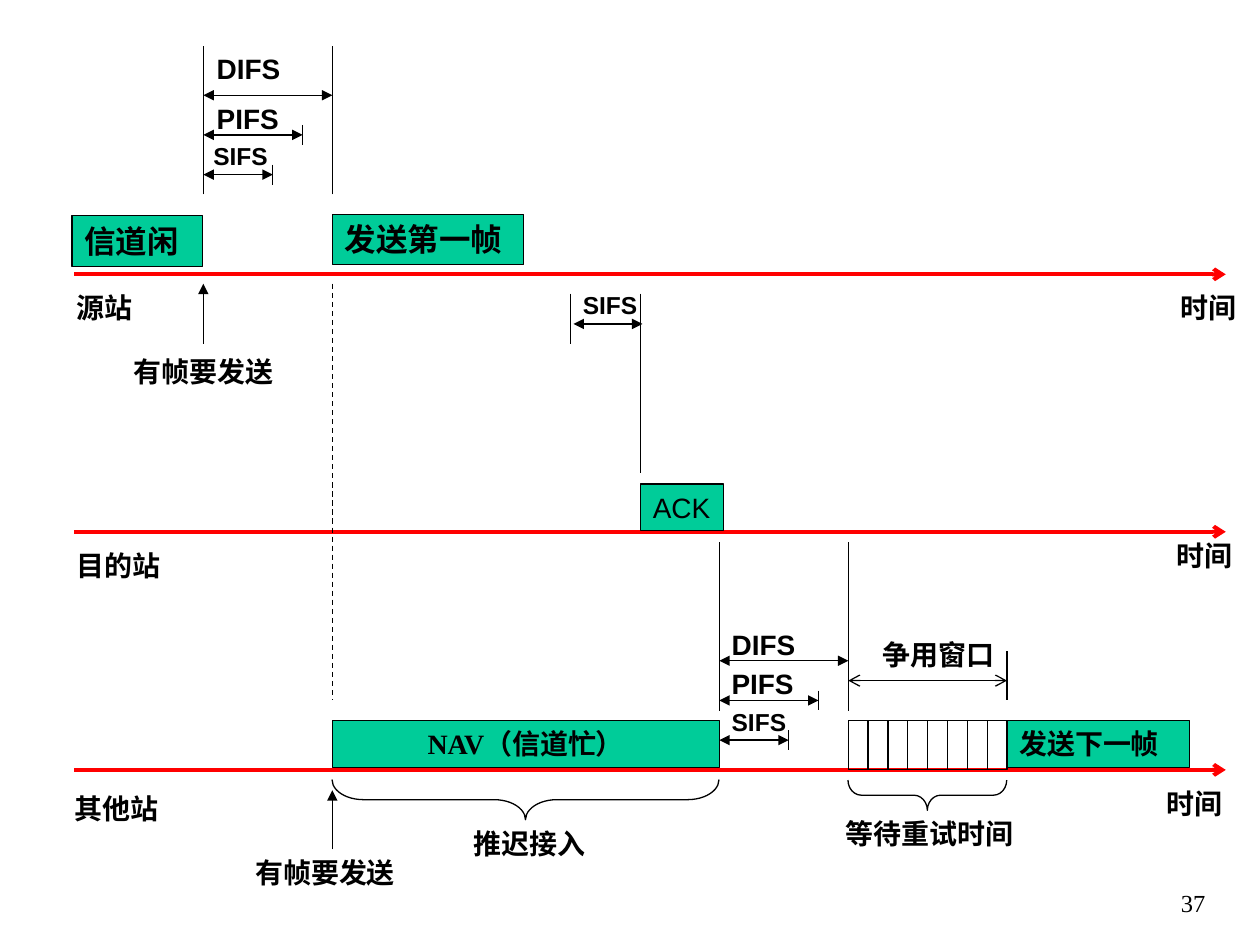
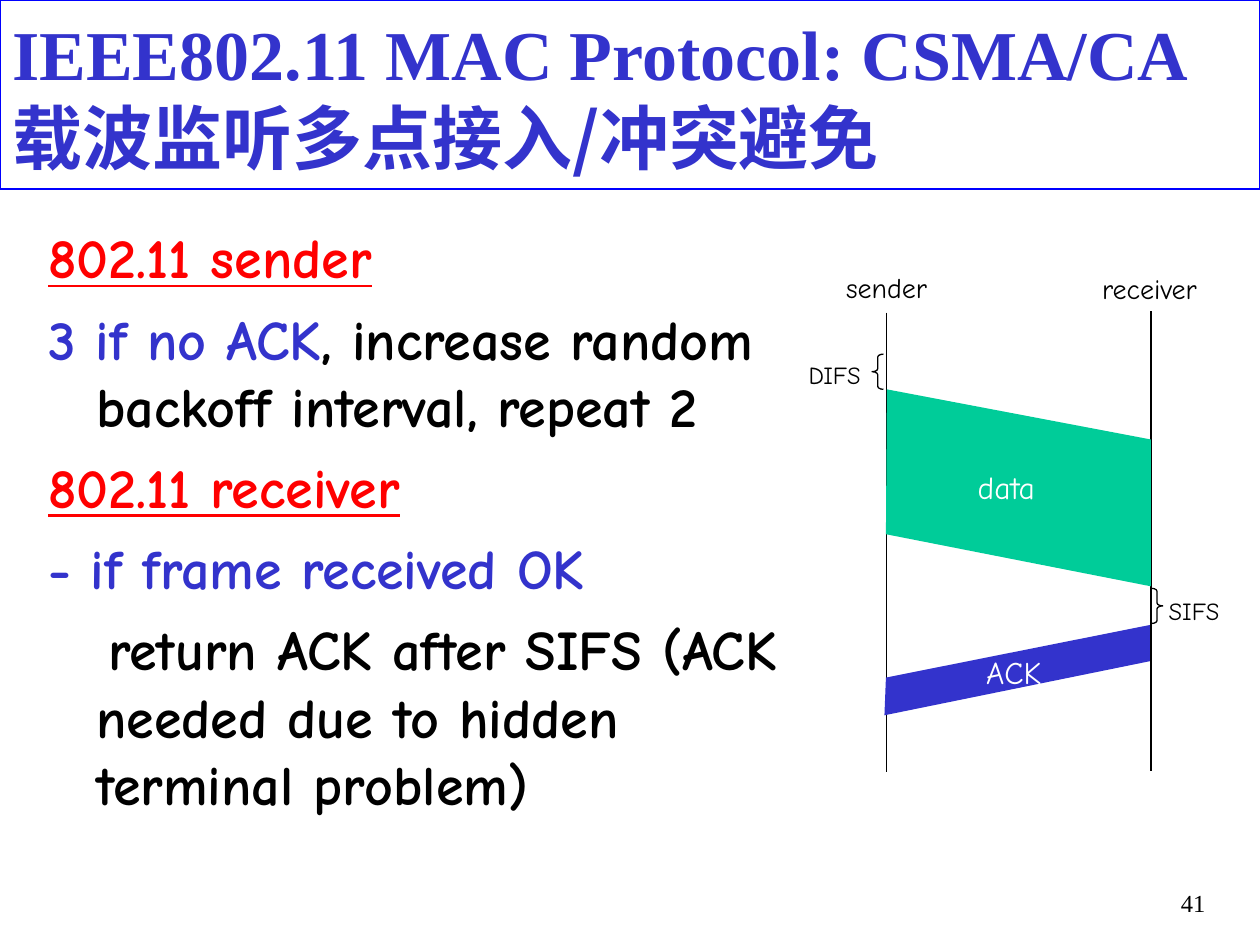
from pptx import Presentation
from pptx.dml.color import RGBColor
from pptx.enum.dml import MSO_LINE
from pptx.enum.shapes import MSO_CONNECTOR, MSO_SHAPE
from pptx.enum.text import MSO_ANCHOR, MSO_AUTO_SIZE, PP_ALIGN
from pptx.oxml.ns import qn
from pptx.util import Cm, Pt
from lxml.etree import SubElement

# Shared look
BLACK, WHITE, RED = "000000", "FFFFFF", "FF0000"
GREEN, BLUE, EDGE = "00CC99", "3333CC", "0000FF"
CJK, SANS, SERIF, HAND = "Noto Sans CJK SC", "Arial", "Times New Roman", "Comic Neue"
THIN = 0.75

# Timing slide: lengths in cm
AXES = [5.53, 10.72, 15.52]
AXIS = (1.5, 24.71)
IDLE, FIRST, REPLY, FREE, OPEN, NEXT = 4.1, 6.7, 12.91, 14.5, 17.1, 20.3
SLOTS = 8
SPANS = [("DIFS", 16, 2.6), ("PIFS", 16, 2.0), ("SIFS", 14, 1.4)]
GROUPS = [  # left, first arrow, guide top and bottom, label shifts
    (IDLE, 1.92, 0.92, 3.92, [(0.02, 1.0), (0.02, 0.8), (-0.05, 0.8)]),
    (FREE, 13.32, 10.92, 14.33, [(0, 0.8), (0, 0.8), (0, 0.8)]),
]
FRAMES = [  # text, left, top, width, height, size, font, bold, align
    ("信道闲", 1.45, 4.35, 2.64, 1.02, 18, CJK, True, PP_ALIGN.LEFT),
    ("发送第一帧", FIRST, 4.32, 3.86, 1.02, 18, CJK, True, PP_ALIGN.LEFT),
    ("ACK", REPLY, 9.76, 1.67, 0.94, 16, SANS, False, PP_ALIGN.LEFT),
    ("NAV（信道忙）", FIRST, 14.53, 7.8, 0.94, 16, SERIF, True, PP_ALIGN.CENTER),
    ("发送下一帧", NEXT, 14.53, 3.68, 0.94, 16, CJK, True, PP_ALIGN.LEFT),
]
NOTES = [  # text, left, top, width
    ("源站", 1.3, 5.73, 2.1), ("目的站", 1.3, 10.93, 2.5), ("其他站", 1.25, 15.83, 2.7),
    ("时间", 23.55, 5.73, 1.85), ("时间", 23.47, 10.73, 1.93), ("时间", 23.27, 15.73, 2.13),
    ("有帧要发送", 2.45, 7.02, 3.7), ("有帧要发送", 4.9, 17.13, 3.7),
    ("推迟接入", 9.3, 16.54, 3.25), ("等待重试时间", 16.8, 16.34, 4.22),
    ("争用窗口", 17.55, 12.73, 2.9),
]
RULES = [  # x1, y1, x2, y2, arrowhead at start, arrowhead at end
    (11.5, 5.92, 11.5, 6.93, None, None),
    (REPLY, 5.92, REPLY, 9.53, None, None),
    (11.56, 6.53, 12.95, 6.53, "triangle", "triangle"),
    (NEXT, 13.13, NEXT, 14.12, None, None),
    (OPEN, 13.72, NEXT, 13.72, "arrow", "arrow"),
    (IDLE, 6.93, IDLE, 5.72, None, "triangle"),
    (FIRST, 17.12, FIRST, 15.93, None, "triangle"),
]
HOOKS = [(10.19, 12.22, 0.81, 7.8, 0.78), (18.39, 14.43, 0.61, 3.2, 0.44)]

# Protocol slide
TITLE = [("IEEE802.11 MAC Protocol: CSMA/CA ", SERIF), ("载波监听多点接入/冲突避免", CJK)]
BODY = [  # first-line indent, then runs of text, colour, underline
    (-0.97, [("802.11 sender", RED, True)]),
    (-0.97, [("3 if no ACK", BLUE, False),
             (", increase random backoff interval, repeat 2", BLACK, False)]),
    (-0.97, [("802.11 receiver", RED, True)]),
    (-0.97, [("- if frame received OK", BLUE, False)]),
    (0.25, [("return ACK after SIFS (ACK needed due to hidden terminal problem)", BLACK, False)]),
]
POSTS = [(17.87, 6.3, 15.57), (23.2, 6.27, 15.54)]
BANDS = [
    (GREEN, [(17.88, 7.85), (23.2, 8.86), (23.2, 11.82), (17.86, 10.77)]),
    (BLUE, [(17.83, 14.42), (23.18, 13.33), (23.18, 12.6), (17.86, 13.66)]),
]
CURLS = [(MSO_SHAPE.LEFT_BRACE, 17.58, 7.14), (MSO_SHAPE.RIGHT_BRACE, 23.21, 11.86)]
TAGS = [  # text, left, top, width, height, size, colour
    ("sender", 16.81, 5.32, 2.4, 0.94, 16, BLACK),
    ("receiver", 21.97, 5.34, 2.7, 0.94, 16, BLACK),
    ("DIFS", 16.05, 7.14, 1.8, 0.86, 14, BLACK),
    ("data", 19.46, 9.31, 1.9, 1.02, 18, WHITE),
    ("SIFS", 23.31, 11.89, 1.8, 0.86, 14, BLACK),
    ("ACK", 19.63, 13.03, 1.9, 1.02, 18, WHITE),
]


def tint(code):
    return RGBColor.from_string(code)


def apply(item, form):
    for key, value in form.items():
        setattr(item, key, value)


def write(par, text, size, face, color=BLACK, bold=False, under=False):
    run = par.add_run()
    run.text = text
    apply(run.font, {"size": Pt(size), "name": face, "bold": bold, "underline": under})
    run.font.color.rgb = tint(color)
    SubElement(run.font._element, qn("a:ea")).set("typeface", CJK if face != HAND else HAND)


def outline(shape, color=BLACK, width=THIN):
    shape.line.color.rgb = tint(color)
    shape.line.width = Pt(width)


def label(slide, text, x, y, w, h, size, face, color=BLACK, bold=False,
          align=PP_ALIGN.LEFT, fill=None):
    box = tuple(map(Cm, (x, y, w, h)))
    if fill:
        shape = slide.shapes.add_shape(MSO_SHAPE.RECTANGLE, *box)
        shape.shadow.inherit = False
        shape.fill.solid()
        shape.fill.fore_color.rgb = tint(fill)
        outline(shape)
    else:
        shape = slide.shapes.add_textbox(*box)
    frame = shape.text_frame
    apply(frame, {"word_wrap": True, "auto_size": MSO_AUTO_SIZE.SHAPE_TO_FIT_TEXT,
                  "vertical_anchor": MSO_ANCHOR.TOP})
    if fill:
        frame.margin_right = Cm(0.1) if align == PP_ALIGN.LEFT else Cm(0.25)
    par = frame.paragraphs[0]
    par.alignment = align
    write(par, text, size, face, color, bold)


def rule(slide, x1, y1, x2, y2, head=None, tail=None, color=BLACK, width=THIN, dash=None):
    line = slide.shapes.add_connector(MSO_CONNECTOR.STRAIGHT, *map(Cm, (x1, y1, x2, y2)))
    outline(line, color, width)
    if dash:
        line.line.dash_style = dash
    props = line.element.spPr
    for tag, kind in (("a:headEnd", head), ("a:tailEnd", tail)):
        if kind:
            SubElement(props.find(qn("a:ln")), qn(tag)).set("type", kind)
    SubElement(props, qn("a:effectLst"))


def hollow(slide, kind, x, y, w, h, curl=None, turn=0):
    shape = slide.shapes.add_shape(kind, *map(Cm, (x, y, w, h)))
    shape.shadow.inherit = False
    shape.fill.background()
    outline(shape)
    shape.rotation = turn
    if curl:
        shape.adjustments[0] = curl


def start(deck, layout, number):
    slide = deck.slides.add_slide(deck.slide_layouts[layout])
    label(slide, number, 22.67, 17.78, 1.88, 1.27, 14, SERIF, align=PP_ALIGN.RIGHT)
    return slide


def timing(deck):
    slide = start(deck, 6, "37")
    for y in AXES:
        rule(slide, AXIS[0], y, AXIS[1], y, tail="arrow", color=RED, width=2.25)
    for text, x, y, w, h, size, face, bold, align in FRAMES:
        label(slide, text, x, y, w, h, size, face, BLACK, bold, align, GREEN)

    # Interframe spaces
    for x, y, top, low, shifts in GROUPS:
        for at in (x, x + SPANS[0][2]):
            rule(slide, at, low, at, top)
        for i, ((text, size, span), (dx, lift)) in enumerate(zip(SPANS, shifts)):
            level, end = y + 0.8 * i, x + span
            rule(slide, x, level, end, level, "triangle", "triangle")
            label(slide, text, x + dx, level - lift, 2.2, 0.9, size, SANS, bold=True)
            if i:
                rule(slide, end, level - 0.2, end, level + 0.2)
    label(slide, "SIFS", 11.5, 5.72, 2.0, 0.86, 14, SANS, bold=True)

    # Guides, contention window and braces
    for item in RULES:
        rule(slide, *item)
    rule(slide, FIRST, 5.72, FIRST, 14.12, dash=MSO_LINE.DASH)
    hollow(slide, MSO_SHAPE.RECTANGLE, OPEN, 14.53, NEXT - OPEN, 0.99)
    for i in range(1, SLOTS):
        x = OPEN + i * (NEXT - OPEN) / SLOTS
        rule(slide, x, 14.53, x, 15.52)
    for *box, curl in HOOKS:
        hollow(slide, MSO_SHAPE.LEFT_BRACE, *box, curl, 270)
    for text, x, y, w in NOTES:
        label(slide, text, x, y, w, 0.94, 16, CJK if text == "争用窗口" else SANS, bold=True)


def protocol(deck):
    slide = start(deck, 5, "41")

    # Title
    title = slide.shapes.title
    apply(title, {"left": 0, "top": 0, "width": Cm(25.4), "height": Cm(3.81)})
    outline(title, EDGE)
    apply(title.text_frame, {"word_wrap": True, "auto_size": MSO_AUTO_SIZE.NONE,
                             "vertical_anchor": MSO_ANCHOR.MIDDLE})
    par = title.text_frame.paragraphs[0]
    par.alignment = PP_ALIGN.LEFT
    for text, face in TITLE:
        write(par, text, 40, face, BLUE, True)

    # Steps
    frame = slide.shapes.add_textbox(Cm(0.72), Cm(4.37), Cm(15.65), Cm(13.77)).text_frame
    frame.word_wrap = True
    for i, (indent, runs) in enumerate(BODY):
        par = frame.add_paragraph() if i else frame.paragraphs[0]
        props = par._p.get_or_add_pPr()
        props.set("marL", str(Cm(0.97)))
        props.set("indent", str(Cm(indent)))
        par.space_before = Pt(8 if i else 0)
        for text, color, under in runs:
            write(par, text, 32, HAND, color, True, under)

    # Exchange diagram
    for x, top, low in POSTS:
        rule(slide, x, top, x, low)
    for color, points in BANDS:
        spots = [(Cm(x), Cm(y)) for x, y in points]
        pen = slide.shapes.build_freeform(*spots[0])
        pen.add_line_segments(spots[1:], close=True)
        band = pen.convert_to_shape()
        band.shadow.inherit = False
        band.fill.solid()
        band.fill.fore_color.rgb = tint(color)
        band.line.fill.background()
    for kind, x, y in CURLS:
        hollow(slide, kind, x, y, 0.23, 0.71, 0.26)
    for text, x, y, w, h, size, color in TAGS:
        label(slide, text, x, y, w, h, size, HAND, color)


def main():
    deck = Presentation()
    apply(deck, {"slide_width": Cm(25.4), "slide_height": Cm(19.05)})
    timing(deck)
    protocol(deck)
    deck.save("out.pptx")


if __name__ == "__main__":
    main()
